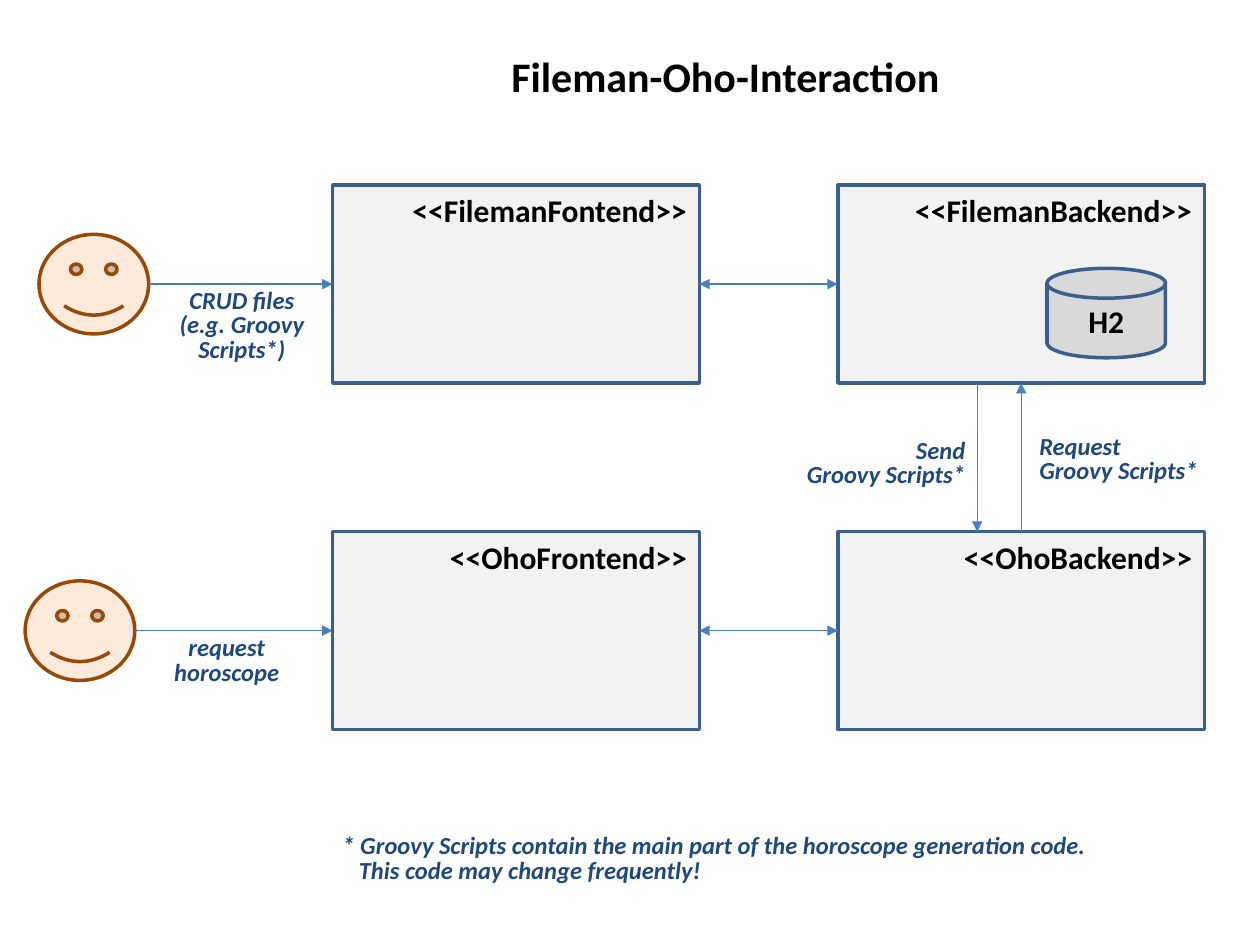
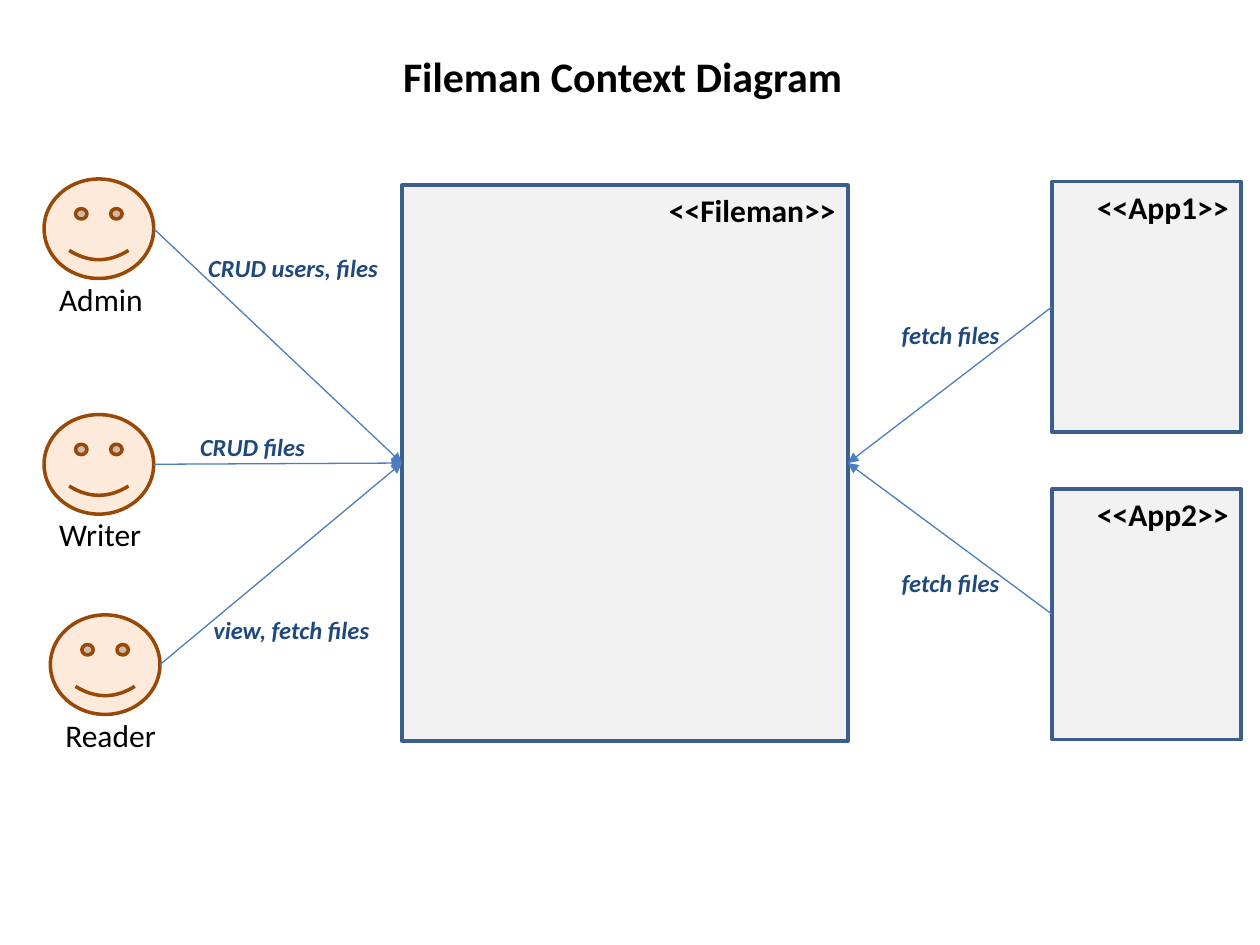
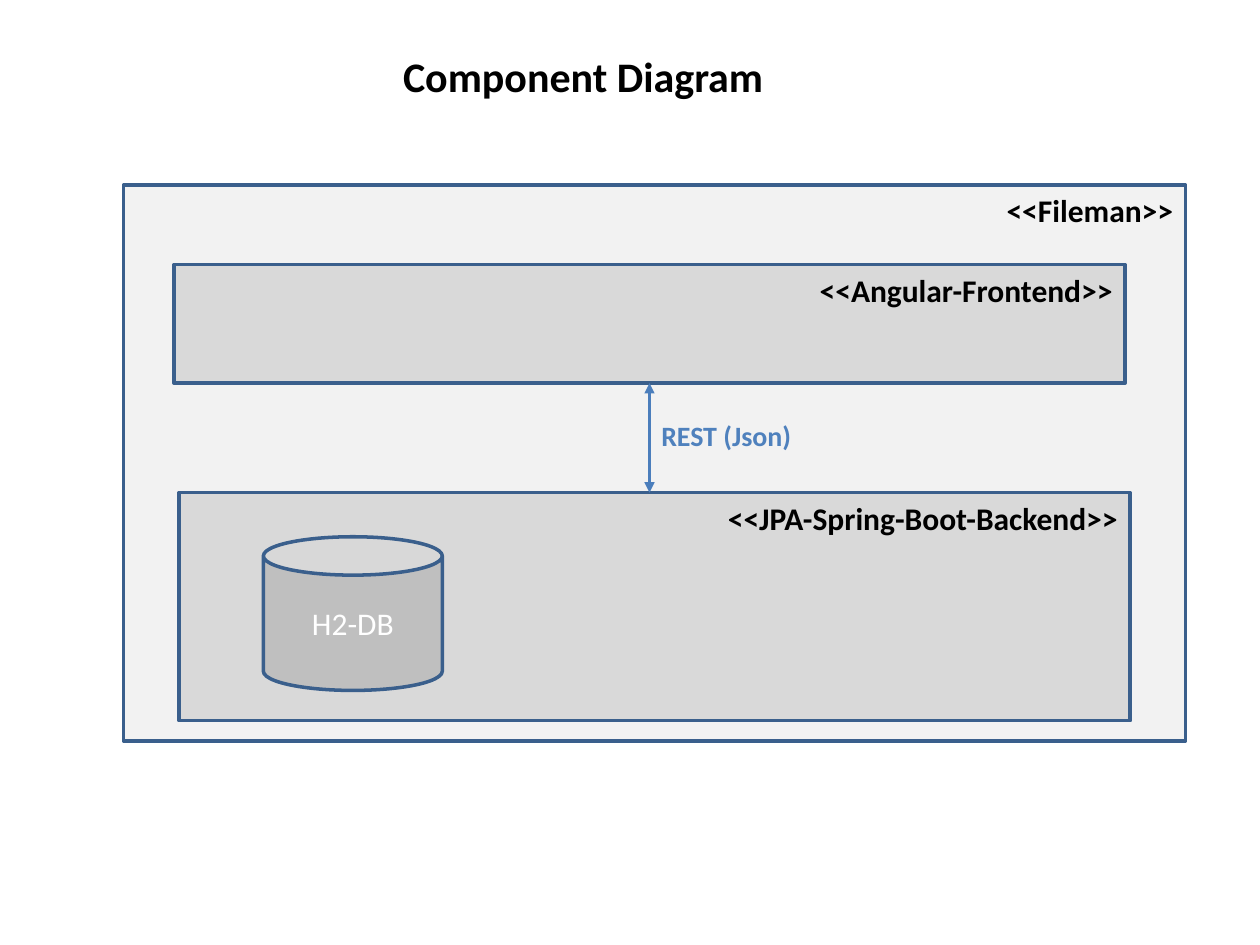
from collections import namedtuple
from dataclasses import dataclass

from lxml.etree import SubElement
from pptx import Presentation
from pptx.dml.color import RGBColor
from pptx.enum.shapes import MSO_CONNECTOR, MSO_SHAPE
from pptx.enum.text import MSO_ANCHOR, MSO_AUTO_SIZE, PP_ALIGN
from pptx.oxml.ns import qn
from pptx.util import Inches, Pt


@dataclass(frozen=True)
class Theme:
    font: str = "Calibri"
    black: str = "000000"
    white: str = "FFFFFF"
    panel: str = "F2F2F2"
    inner: str = "D9D9D9"
    disk: str = "BFBFBF"
    outline: str = "3A5F8C"
    arrow: str = "4B7EBC"
    note: str = "1F497D"
    accent: str = "4F81BD"
    skin: str = "FDEADA"
    skin_line: str = "984807"
    title_size: int = 24
    name_size: int = 18
    protocol_size: int = 16
    note_size: int = 14
    outline_width: float = 2
    arrow_width: float = 0.75


THEME = Theme()
Style = namedtuple("Style", "size color bold italic spacing")
TITLE = Style(THEME.title_size, THEME.black, True, False, None)
NAME = Style(THEME.name_size, THEME.black, True, False, None)
ROLE = Style(THEME.name_size, THEME.black, False, False, None)
DATABASE = Style(THEME.name_size, THEME.white, False, False, None)
PROTOCOL = Style(THEME.protocol_size, THEME.accent, True, False, None)
NOTE = Style(THEME.note_size, THEME.note, True, True, 14)

LEFT, CENTER, RIGHT = PP_ALIGN.LEFT, PP_ALIGN.CENTER, PP_ALIGN.RIGHT

# The slide is a grid of 100 columns by 75 rows
COLUMNS, ROWS = 100, 75
WIDTH, HEIGHT = Inches(10), Inches(7.5)
TITLE_TOP, TITLE_HEIGHT = 3.5, 5
TOP_ROW, PANEL_HEIGHT = 14.7, 44.1
ACTOR = (8.7, 7.9)
ROLE_SIZE, ROLE_DROP = (13.1, 4), 7.5

# Interaction slide: two systems (rows), each with a frontend and a backend
FRONT, BACK = 26.4, 66.5
FILEMAN, OHO = TOP_ROW, 42.2
BOX = (29.1, 15.7)
ACTOR_DROP = (BOX[1] - ACTOR[1]) / 2

# Context slide: both applications have one size
APP_LEFT, APP_SIZE = 83.5, (15, 19.9)

# Boxes: key, name, position, fill. Arrows: start, side, end, side, both heads.
# A side may carry the share along it. Labels: lines, position, alignment, style.
SLIDES = [
    {
        "title": ("Fileman-Oho-Interaction", 39.6, 36.4),
        "actors": [("editor", None, (3.1, FILEMAN + ACTOR_DROP)),
                   ("customer", None, (2, OHO + ACTOR_DROP))],
        "boxes": [
            ("fileman front", "<<FilemanFontend>>", (FRONT, FILEMAN, *BOX), THEME.panel),
            ("fileman back", "<<FilemanBackend>>", (BACK, FILEMAN, *BOX), THEME.panel),
            ("oho front", "<<OhoFrontend>>", (FRONT, OHO, *BOX), THEME.panel),
            ("oho back", "<<OhoBackend>>", (BACK, OHO, *BOX), THEME.panel),
        ],
        "databases": [("H2", (83.1, 21.3, 9.4, 7.1), THEME.inner, NAME,
                       MSO_SHAPE.FLOWCHART_MAGNETIC_DISK)],
        "arrows": [
            ("editor", "right", "fileman front", "left", False),
            ("customer", "right", "oho front", "left", False),
            ("fileman front", "right", "fileman back", "left", True),
            ("oho front", "right", "oho back", "left", True),
            ("oho back", "top", "fileman back", "bottom", False),
            ("fileman back", ("bottom", 0.38), "oho back", "top", False),
        ],
        "labels": [
            (["CRUD files", "(e.g. Groovy", "Scripts*)"], (13, 22.5, 12.4, 6.9), CENTER, NOTE),
            (["request", "horoscope"], (12.8, 50.1, 10.4, 5), CENTER, NOTE),
            (["Request", "Groovy Scripts*"], (81.5, 34.1, 14.7, 4.9), LEFT, NOTE),
            (["Send", "Groovy Scripts*"], (62.9, 34.4, 14.7, 4.9), RIGHT, NOTE),
            (["* Groovy Scripts contain the main part of the horoscope generation code.",
              ("This code may change frequently!", 1.3)], (26.2, 65.8, 61.4, 4.9), LEFT, NOTE),
        ],
    },
    {
        "title": ("Fileman Context Diagram", 31, 37.2),
        "actors": [("admin", "Admin", (3.5, 14.2)),
                   ("writer", "Writer", (3.5, 32.9)),
                   ("reader", "Reader", (4, 48.8))],
        "boxes": [
            ("fileman", "<<Fileman>>", (31.9, TOP_ROW, 35.4, PANEL_HEIGHT), THEME.panel),
            ("app1", "<<App1>>", (APP_LEFT, 14.4, *APP_SIZE), THEME.panel),
            ("app2", "<<App2>>", (APP_LEFT, 38.8, *APP_SIZE), THEME.panel),
        ],
        "arrows": [(actor, "right", "fileman", "left", False)
                   for actor in ("admin", "writer", "reader")]
                  + [(app, "left", "fileman", "right", False) for app in ("app1", "app2")],
        "labels": [
            (["CRUD users, files"], (15.4, 20, 15.6, 3), RIGHT, NOTE),
            (["CRUD files"], (14.8, 34.2, 10.4, 3), RIGHT, NOTE),
            (["view, fetch files"], (15.8, 48.7, 14.5, 3), RIGHT, NOTE),
            (["fetch files"], (70.5, 25.3, 9.8, 3), RIGHT, NOTE),
            (["fetch files"], (70.5, 45, 9.8, 3), RIGHT, NOTE),
        ],
    },
    {
        "title": ("Component Diagram", 31, 30.9),
        "boxes": [
            ("fileman", "<<Fileman>>", (9.8, TOP_ROW, 84.3, PANEL_HEIGHT), THEME.panel),
            ("front", "<<Angular-Frontend>>", (13.8, 21, 75.5, 9.4), THEME.inner),
            ("back", "<<JPA-Spring-Boot-Backend>>", (14.2, 39.1, 75.5, 18.1), THEME.inner),
        ],
        "databases": [("H2-DB", (20.9, 42.6, 14.2, 12.2), THEME.disk, DATABASE, MSO_SHAPE.CAN)],
        "arrows": [("front", "bottom", "back", "top", True)],
        "arrow_width": 1.25,
        "labels": [(["REST (Json)"], (51.5, 32.7, 12.5, 3.7), LEFT, PROTOCOL)],
    },
]


def across(columns):
    return round(WIDTH * columns / COLUMNS)


def down(rows):
    return round(HEIGHT * rows / ROWS)


def place(frame):
    left, top, width, height = frame
    return across(left), down(top), across(width), down(height)


def write(text_frame, lines, style, alignment):
    """Fill a text frame; a line may be a pair of text and indent in columns."""
    for number, line in enumerate(lines):
        text, indent = line if isinstance(line, tuple) else (line, 0)
        paragraph = text_frame.add_paragraph() if number else text_frame.paragraphs[0]
        paragraph.alignment = alignment
        if style.spacing:
            paragraph.line_spacing = Pt(style.spacing)
        if indent:
            paragraph._p.get_or_add_pPr().set("marL", str(across(indent)))
        run = paragraph.add_run()
        run.text = text
        run.font.name = THEME.font
        run.font.size = Pt(style.size)
        run.font.bold = style.bold
        run.font.italic = style.italic
        run.font.color.rgb = RGBColor.from_string(style.color)


def add_label(slide, lines, frame, alignment, style, wrap=False):
    text_frame = slide.shapes.add_textbox(*place(frame)).text_frame
    text_frame.word_wrap = wrap
    text_frame.auto_size = MSO_AUTO_SIZE.SHAPE_TO_FIT_TEXT
    write(text_frame, lines, style, alignment)


def add_outlined(slide, kind, frame, fill, line=THEME.outline):
    shape = slide.shapes.add_shape(kind, *place(frame))
    shape.shadow.inherit = False
    shape.fill.solid()
    shape.fill.fore_color.rgb = RGBColor.from_string(fill)
    shape.line.color.rgb = RGBColor.from_string(line)
    shape.line.width = Pt(THEME.outline_width)
    return shape


def anchor_point(frame, side):
    """Point on one side of a frame, in the middle unless a share is given."""
    side, share = side if isinstance(side, tuple) else (side, 0.5)
    left, top, width, height = frame
    if side in ("top", "bottom"):
        return left + width * share, top + height * (side == "bottom")
    return left + width * (side == "right"), top + height * share


def add_arrow(slide, start, end, both, width):
    connector = slide.shapes.add_connector(
        MSO_CONNECTOR.STRAIGHT, across(start[0]), down(start[1]), across(end[0]), down(end[1]))
    connector.line.color.rgb = RGBColor.from_string(THEME.arrow)
    connector.line.width = Pt(width)
    line = connector.line._get_or_add_ln()
    for tag in ("a:headEnd", "a:tailEnd") if both else ("a:tailEnd",):
        SubElement(line, qn(tag)).set("type", "triangle")
    SubElement(connector._element.spPr, qn("a:effectLst"))


def build(slide, content):
    frames = {}
    # Title
    title, left, width = content["title"]
    add_label(slide, [title], (left, TITLE_TOP, width, TITLE_HEIGHT), LEFT, TITLE)

    # Components
    for key, name, frame, fill in content["boxes"]:
        frames[key] = frame
        shape = add_outlined(slide, MSO_SHAPE.FLOWCHART_PROCESS, frame, fill)
        shape.text_frame.vertical_anchor = MSO_ANCHOR.TOP
        write(shape.text_frame, [name], NAME, RIGHT)

    # Actors and their roles
    for key, role, (left, top) in content.get("actors", []):
        frames[key] = (left, top, *ACTOR)
        add_outlined(slide, MSO_SHAPE.SMILEY_FACE, frames[key], THEME.skin, THEME.skin_line)
        if role:
            add_label(slide, [role], (left + 0.2, top + ROLE_DROP, *ROLE_SIZE), LEFT, ROLE, True)

    # Databases
    for name, frame, fill, style, kind in content.get("databases", []):
        shape = add_outlined(slide, kind, frame, fill)
        shape.text_frame.vertical_anchor = MSO_ANCHOR.MIDDLE
        write(shape.text_frame, [name], style, CENTER)

    # Arrows: those between a top and a bottom stay vertical
    for source, source_side, target, target_side, both in content["arrows"]:
        start = anchor_point(frames[source], source_side)
        end = anchor_point(frames[target], target_side)
        if target_side in ("top", "bottom"):
            end = (start[0], end[1])
        add_arrow(slide, start, end, both, content.get("arrow_width", THEME.arrow_width))

    # Labels
    for lines, frame, alignment, style in content["labels"]:
        add_label(slide, lines, frame, alignment, style)


presentation = Presentation()
presentation.slide_width, presentation.slide_height = WIDTH, HEIGHT
for slide_content in SLIDES:
    build(presentation.slides.add_slide(presentation.slide_layouts[6]), slide_content)
presentation.save("out.pptx")
